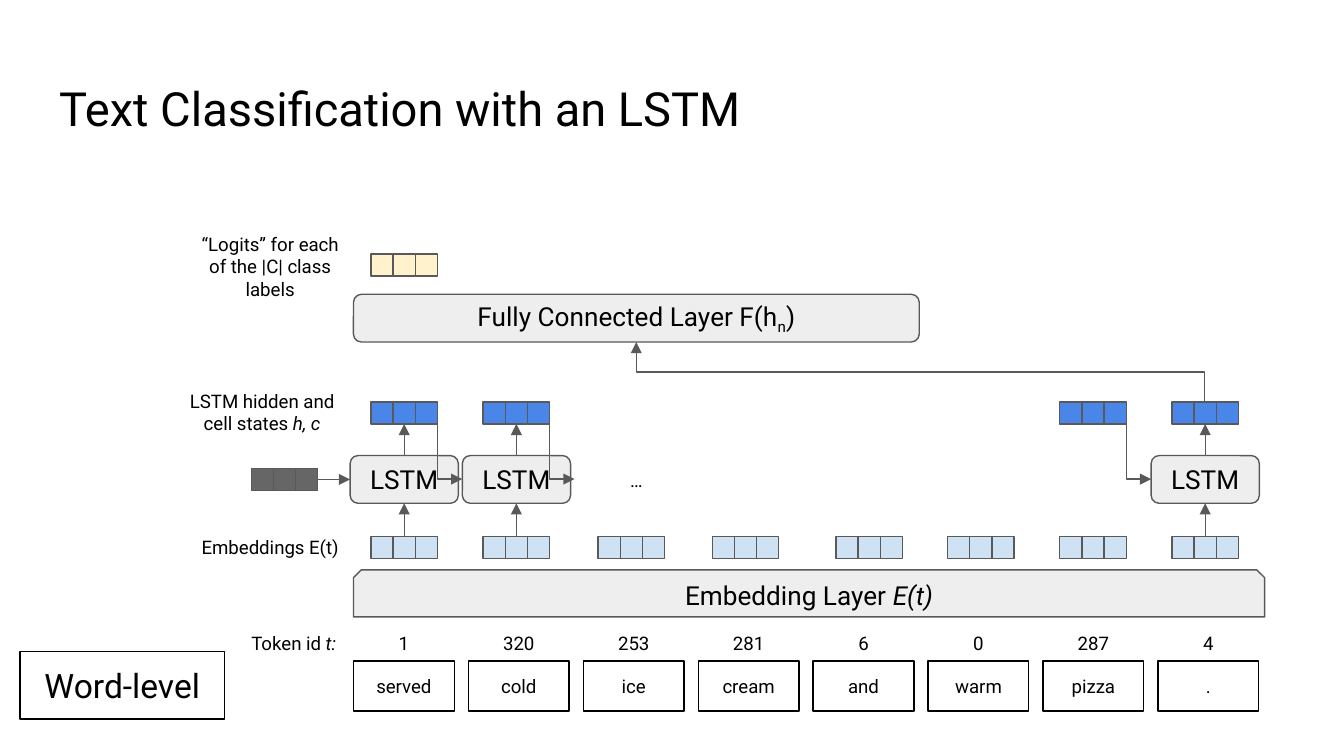
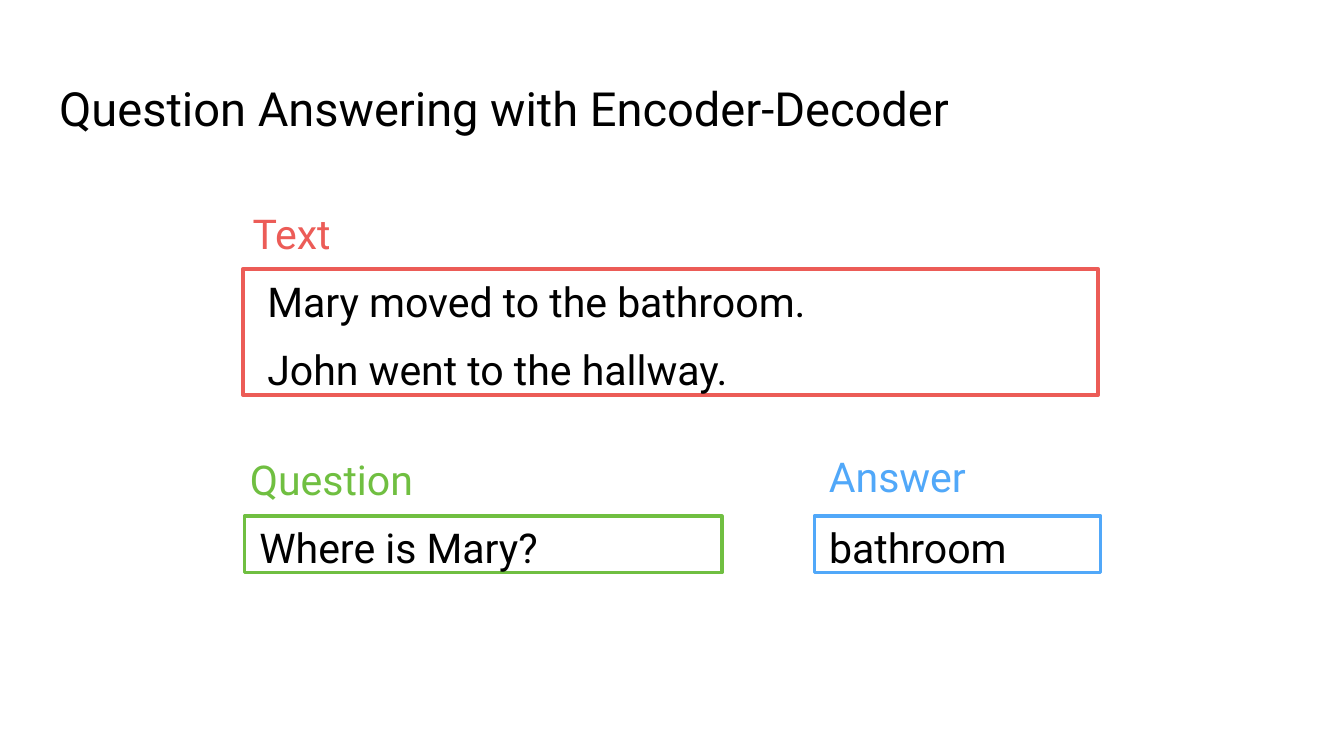
from pptx import Presentation
from pptx.dml.color import RGBColor
from pptx.enum.shapes import MSO_CONNECTOR, MSO_SHAPE
from pptx.enum.text import MSO_ANCHOR, MSO_AUTO_SIZE, PP_ALIGN
from pptx.oxml.ns import qn
from pptx.util import Emu, Pt
from lxml import etree

PX = 4572  # 200 px to the inch
RECT, ROUND, SNIP = MSO_SHAPE.RECTANGLE, MSO_SHAPE.ROUNDED_RECTANGLE, MSO_SHAPE.SNIP_2_SAME_RECTANGLE
STRAIGHT, ELBOW = MSO_CONNECTOR.STRAIGHT, MSO_CONNECTOR.ELBOW
LEFT, CENTER = PP_ALIGN.LEFT, PP_ALIGN.CENTER
TOP, MIDDLE = MSO_ANCHOR.TOP, MSO_ANCHOR.MIDDLE
NO_FIT = MSO_AUTO_SIZE.NONE
SIDE_TOP, SIDE_LEFT, SIDE_BOTTOM, SIDE_RIGHT = range(4)

FONT = "Roboto"
BLACK, GRAY, PANEL = "000000", "595959", "EEEEEE"
PALE_BLUE, BLUE, CREAM, DARK = "CFE2F3", "4A86E8", "FFF2CC", "666666"
RED, GREEN, SKY = "EC5C57", "70BF41", "51A8F9"
ITALIC = {"italic": True}
CELL = 33


def px(n):
    return Emu(int(n * PX))


def rgb(hex_color):
    return RGBColor.from_string(hex_color)


class Deck:
    def __init__(self):
        self.prs = Presentation()
        self.prs.slide_width, self.prs.slide_height = px(2000), px(1125)
        self.s = None

    def slide(self, title):
        self.s = self.prs.slides.add_slide(self.prs.slide_layouts[5])
        sp = self.s.shapes.title
        sp.left, sp.top, sp.width, sp.height = map(px, (68, 98, 1864, 126))
        self.fill_text(sp, title, size=25.2, align=LEFT)

    def fill_text(self, sp, paragraphs, size=10, color=BLACK, align=CENTER, anchor=TOP,
                  insets=(20, 20, 20, 20), indent=0, before=0):
        """Each paragraph is a string or a list of (text, format) runs."""
        tf = sp.text_frame
        sides = ("margin_left", "margin_top", "margin_right", "margin_bottom")
        frame = dict(zip(sides, map(px, insets)), word_wrap=True,
                     auto_size=NO_FIT, vertical_anchor=anchor)
        for name, value in frame.items():
            setattr(tf, name, value)
        if isinstance(paragraphs, str):
            paragraphs = [paragraphs]
        for i, runs in enumerate(paragraphs):
            p = tf.add_paragraph() if i else tf.paragraphs[0]
            p.alignment = align
            if indent:
                pPr = p._p.get_or_add_pPr()
                pPr.set("marL", str(px(indent)))
                pPr.set("indent", "0")
            if i and before:
                p.space_before = Pt(before)
            for text, extra in [(runs, {})] if isinstance(runs, str) else runs:
                r = p.add_run()
                r.text = text
                fmt = {"name": FONT, "size": Pt(size), **extra}
                baseline = fmt.pop("baseline", None)
                for name, value in fmt.items():
                    setattr(r.font, name, value)
                r.font.color.rgb = rgb(color)
                if baseline:
                    r._r.get_or_add_rPr().set("baseline", str(baseline))

    def text(self, x, y, w, h, paragraphs, **style):
        sp = self.s.shapes.add_textbox(px(x), px(y), px(w), px(h))
        self.fill_text(sp, paragraphs, **style)

    def box(self, x, y, w, h, paragraphs=None, kind=RECT, fill=None, line=GRAY,
            weight=0.75, adjust=(), **style):
        sp = self.s.shapes.add_shape(kind, px(x), px(y), px(w), px(h))
        sp.shadow.inherit = False
        if fill:
            sp.fill.solid()
            sp.fill.fore_color.rgb = rgb(fill)
        else:
            sp.fill.background()
        sp.line.color.rgb = rgb(line)
        sp.line.width = Pt(weight)
        for i, value in enumerate(adjust):
            sp.adjustments[i] = value
        if paragraphs:
            self.fill_text(sp, paragraphs, **style)
        return sp

    def layer(self, x, y, w, h, paragraphs, kind=ROUND, adjust=(0.167,)):
        return self.box(x, y, w, h, paragraphs, kind=kind, adjust=adjust,
                        fill=PANEL, size=14, anchor=MIDDLE)

    def vector(self, x, y, fill):
        return [self.box(x + i * CELL, y, CELL, CELL, fill=fill) for i in range(3)]

    def connector(self, kind, x1, y1, x2, y2):
        c = self.s.shapes.add_connector(kind, px(x1), px(y1), px(x2), px(y2))
        c.line.color.rgb = rgb(GRAY)
        c.line.width = Pt(0.75)
        spPr = c._element.spPr
        etree.SubElement(spPr.find(qn("a:ln")), qn("a:tailEnd"), type="triangle")
        etree.SubElement(spPr, qn("a:effectLst"))
        return c

    def arrow(self, start, start_side, end, end_side):
        c = self.connector(STRAIGHT, 0, 0, 0, 0)
        c.begin_connect(start, start_side)
        c.end_connect(end, end_side)

    def elbow(self, x1, y1, x2, y2, preset, turn):
        """A bent arrow that leaves vertically: a flipped frame turned about its centre."""
        cx, cy = (x1 + x2) / 2, (y1 + y2) / 2
        half_w, half_h = abs(y2 - y1) / 2, abs(x2 - x1) / 2
        c = self.connector(ELBOW, cx + half_w, cy - half_h, cx - half_w, cy + half_h)
        spPr = c._element.spPr
        spPr.find(qn("a:xfrm")).set("rot", str(turn * 60000))
        spPr.find(qn("a:prstGeom")).set("prst", preset)


def lstm_slide(d):
    d.slide("Text Classification with an LSTM")

    # Words and token ids
    d.layer(526, 848, 1356, 70, [[("Embedding Layer ", {}), ("E(t)", ITALIC)]],
            kind=SNIP, adjust=(0.167, 0))
    d.box(30, 970, 304, 100, "Word-level", line=BLACK, size=18)
    tokens = [("served", 1), ("cold", 320), ("ice", 253), ("cream", 281),
              ("and", 6), ("warm", 0), ("pizza", 287), (".", 4)]
    for i, (word, token_id) in enumerate(tokens):
        x = 526 + 171 * i
        d.box(x, 984, 150, 74, word, line=BLACK)
        d.text(x, 920, 150, 74, str(token_id))

    # Row labels
    d.text(348, 920, 178, 74, [[("Token id ", {}), ("t:", ITALIC)]])
    d.text(278, 778, 248, 74, "Embeddings E(t)")
    d.text(254, 560, 272, 108, [[("LSTM hidden and cell states ", {}), ("h, c", ITALIC)]])
    d.text(278, 326, 248, 142, "“Logits” for each of the |C| class labels")
    d.text(872, 678, 150, 74, "…")

    # Embeddings, LSTM cells and their states
    columns = [552, 719, 890, 1060, 1244, 1410, 1577, 1744]
    embeddings = [d.vector(x, 798, PALE_BLUE) for x in columns]
    states_y, mid_y, lstm_y = 598, 614, 678
    lstms = {}
    for i in (0, 1, 6, 7):
        x = columns[i]
        state = d.vector(x, states_y, BLUE)
        if i != 6:
            lstms[i] = d.layer(x - 31, lstm_y, 161, 71, "LSTM")
            d.arrow(embeddings[i][1], SIDE_TOP, lstms[i], SIDE_BOTTOM)
            d.arrow(lstms[i], SIDE_TOP, state[1], SIDE_BOTTOM)
    for i in (0, 1, 6):
        x = columns[i] + 3 * CELL
        d.elbow(x, mid_y, x + 37, 713, "bentConnector2", 270)
    initial = d.vector(374, 697, DARK)
    d.arrow(initial[2], SIDE_RIGHT, lstms[0], SIDE_LEFT)

    # Classifier
    d.layer(526, 438, 842, 71, [[("Fully Connected Layer F(h", {}),
                                 ("n", {"baseline": -25000}), (")", {})]])
    d.vector(columns[0], 378, CREAM)
    d.elbow(1793, states_y, 947, 509, "bentConnector3", 90)


def question_slide(d):
    d.slide("Question Answering with Encoder-Decoder")
    body = {"size": 22, "align": LEFT}
    frame = {**body, "weight": 2}
    label = {**body, "indent": 2}
    tight = (0, 2, 0, 0)

    # Text
    d.box(362, 400, 1272, 188, ["Mary moved to the bathroom.", "John went to the hallway."],
          line=RED, insets=(0, 12, 0, 0), indent=36, before=9.6, **frame)
    d.text(374, 308, 194, 76, "Text", color=RED, insets=tight, **label)

    # Question and answer
    d.text(370, 674, 298, 76, "Question", color=GREEN, insets=tight, **label)
    d.text(1212, 652, 288, 114, "Answer", color=SKY, **label)
    for x, w, words, color in [(364, 710, "Where is Mary?", GREEN), (1212, 426, "bathroom", SKY)]:
        d.box(x, 768, w, 84, words, line=color, insets=(0, 10, 0, 0), indent=22, **frame)


def main():
    d = Deck()
    lstm_slide(d)
    question_slide(d)
    d.prs.save("out.pptx")


if __name__ == "__main__":
    main()
